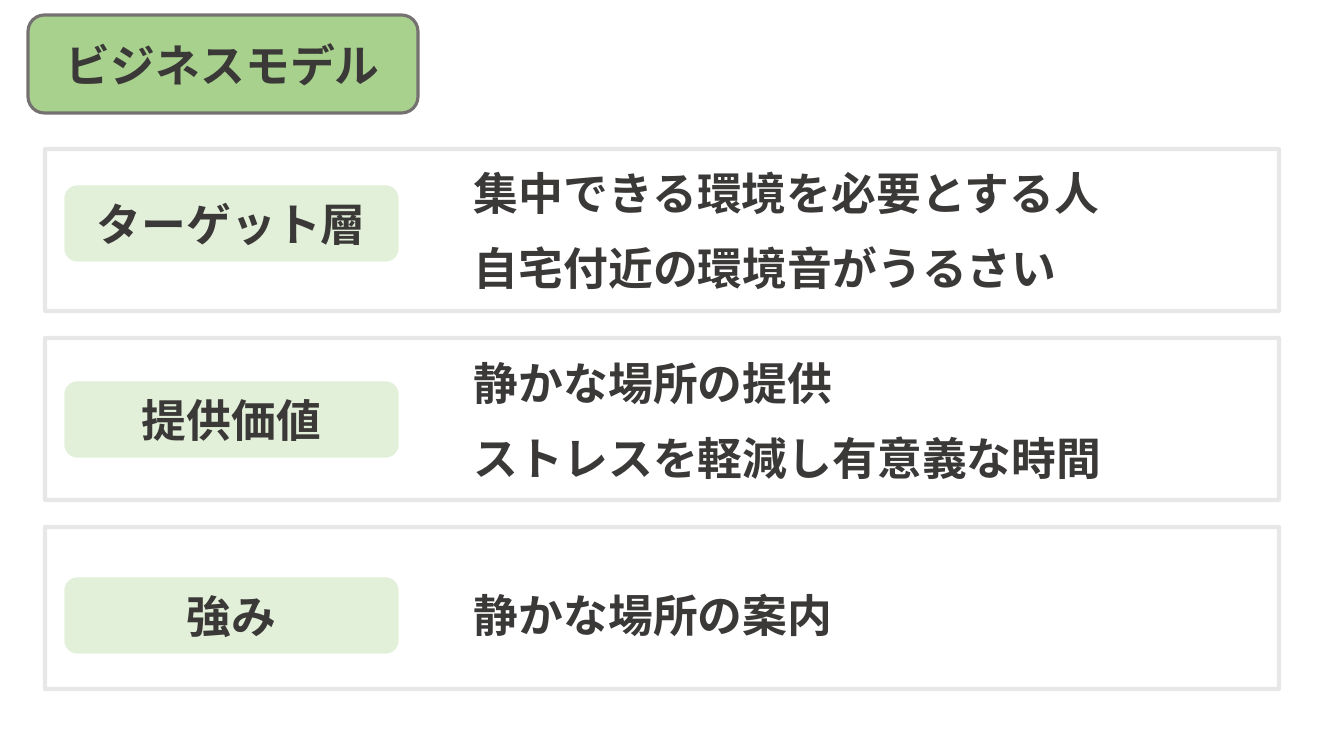
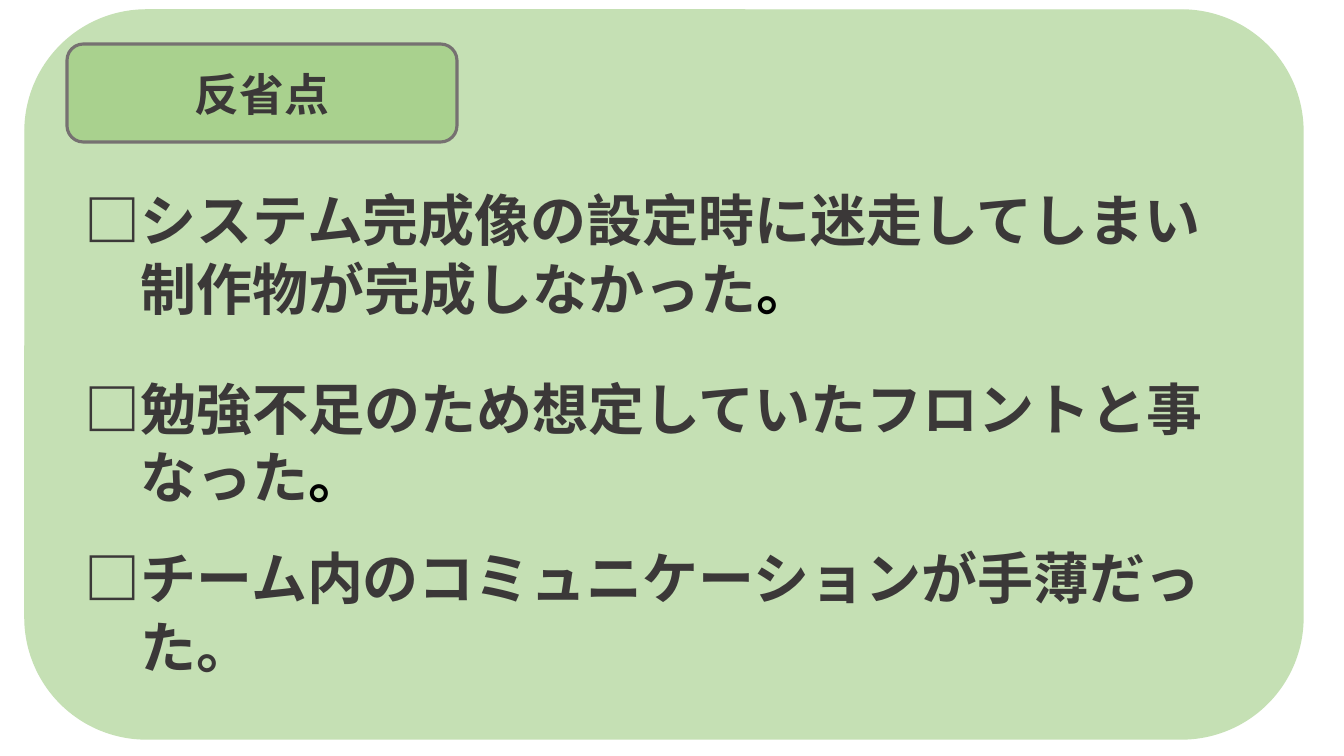
from dataclasses import dataclass

from pptx import Presentation
from pptx.dml.color import RGBColor as RGB
from pptx.enum.shapes import MSO_SHAPE as SHAPE
from pptx.enum.text import MSO_ANCHOR as ANCHOR, MSO_AUTO_SIZE as AUTO, PP_ALIGN as ALIGN
from pptx.oxml.ns import qn
from pptx.util import Emu, Pt
from lxml import etree


@dataclass(frozen=True)
class Theme:
    ink: str = "3B3838"
    black: str = "000000"
    gray: str = "767171"
    green: str = "A9D18E"
    soft: str = "C5E0B4"
    pale: str = "E2F0D9"
    font: str = "Noto Sans CJK JP"
    latin: str = "Arial"
    head: int = 32
    large: int = 40
    lead: float = 1.215   # line height per type size
    gap: float = 14.5     # points between body lines


T = Theme()
WIDE, HIGH = 1344, 756
INDENT = 56               # one full-width character at the large size
ROWS = [
    ("ターゲット層", 160, ["集中できる環境を必要とする人", "自宅付近の環境音がうるさい"]),
    ("提供価値", 350, ["静かな場所の提供", "ストレスを軽減し有意義な時間"]),
    ("強み", 582, ["静かな場所の案内"]),
]
POINTS = [
    (179, "□システム完成像の設定時に迷走してしまい", "制作物が完成しなかった", "。"),
    (368, "□勉強不足のため想定していたフロントと事", "なった", "。"),
    (537, "□チーム内のコミュニケーションが手薄だっ", "た。", ""),
]


def px(n):
    return Emu(round(n * 914400 / 100.8))


def place(shape, x, y, w, h):
    spots = dict(left=x, top=y, width=w, height=h)
    for name, n in spots.items():
        setattr(shape, name, px(n))


def add_run(para, text, size=T.head, color=T.ink, font=T.font):
    run = para.add_run()
    run.text = text
    look = dict(size=Pt(size), bold=True, name=font)
    for name, value in look.items():
        setattr(run.font, name, value)
    run.font.color.rgb = RGB.from_string(color)
    # East Asian typeface
    etree.SubElement(run.font._element, qn("a:ea"), typeface=T.font)


def set_para(para, size=T.head, align=ALIGN.LEFT, before=0):
    look = dict(alignment=align, line_spacing=Pt(round(size * T.lead)),
                space_before=Pt(before))
    for name, value in look.items():
        setattr(para, name, value)


def set_frame(frame, anchor=ANCHOR.TOP):
    look = dict(word_wrap=True, auto_size=AUTO.NONE, vertical_anchor=anchor)
    for name, value in look.items():
        setattr(frame, name, value)
    return frame


def add_label(shape, text, font=T.font):
    para = set_frame(shape.text_frame, ANCHOR.MIDDLE).paragraphs[0]
    set_para(para, align=ALIGN.CENTER)
    add_run(para, text, font=font)


def add_box(slide, kind, box, fill, line, width=1):
    shape = slide.shapes.add_shape(kind, *map(px, box))
    shape.shadow.inherit = False
    if fill:
        shape.fill.solid()
        shape.fill.fore_color.rgb = RGB.from_string(fill)
    else:
        shape.fill.background()
    shape.line.color.rgb = RGB.from_string(line)
    shape.line.width = Pt(width)
    return shape


def add_text(slide, x, y, w, h):
    return set_frame(slide.shapes.add_textbox(*map(px, (x, y, w, h))).text_frame)


def add_title(slide, x, y, text, font=T.font):
    box = (x, y, 390, 98)
    add_box(slide, SHAPE.ROUNDED_RECTANGLE, box, T.green, T.gray, 2.25)
    title = slide.shapes.title
    place(title, *box)
    add_label(title, text, font)
    # Bring the title in front of its badge
    slide.shapes._spTree.append(title._element)


def add_card(slide, i):
    card = add_box(slide, SHAPE.RECTANGLE, (45, 149 + 189 * i, 1234, 162),
                   None, T.gray, 3)
    # Faint outline
    tint = card.line._ln.find(".//" + qn("a:srgbClr"))
    etree.SubElement(tint, qn("a:alpha"), val="17000")


def add_row(slide, i, label, y, lines):
    add_card(slide, i)
    chip = add_box(slide, SHAPE.ROUNDED_RECTANGLE, (65, 186 + 196 * i, 333, 75),
                   T.pale, T.pale)
    add_label(chip, label)
    frame = add_text(slide, 464, y, 668, 65 + 74 * (len(lines) - 1))
    for n, line in enumerate(lines):
        para = frame.add_paragraph() if n else frame.paragraphs[0]
        set_para(para, before=T.gap if n else 0)
        add_run(para, line)


def add_point(slide, y, first, second, stop):
    para = add_text(slide, 75, y, 1194, 146).paragraphs[0]
    set_para(para, T.large)
    # Hanging indent under the check box
    props = para._p.get_or_add_pPr()
    for name, n in dict(marL=INDENT, indent=-INDENT).items():
        props.set(name, str(px(n)))
    add_run(para, first, T.large)
    para.add_line_break()
    add_run(para, second, T.large)
    if stop:
        add_run(para, stop, T.large, T.black)


def main():
    deck = Presentation()
    deck.slide_width, deck.slide_height = px(WIDE), px(HIGH)
    layout = deck.slide_layouts[5]

    # Business model
    slide = deck.slides.add_slide(layout)
    add_title(slide, 28, 15, "ビジネスモデル", T.latin)
    for i, row in enumerate(ROWS):
        add_row(slide, i, *row)

    # Points to reflect on
    slide = deck.slides.add_slide(layout)
    add_box(slide, SHAPE.ROUNDED_RECTANGLE, (25, 10, 1278, 729), T.soft, T.soft)
    add_title(slide, 67, 44, "反省点")
    for point in POINTS:
        add_point(slide, *point)

    deck.save("out.pptx")


if __name__ == "__main__":
    main()
